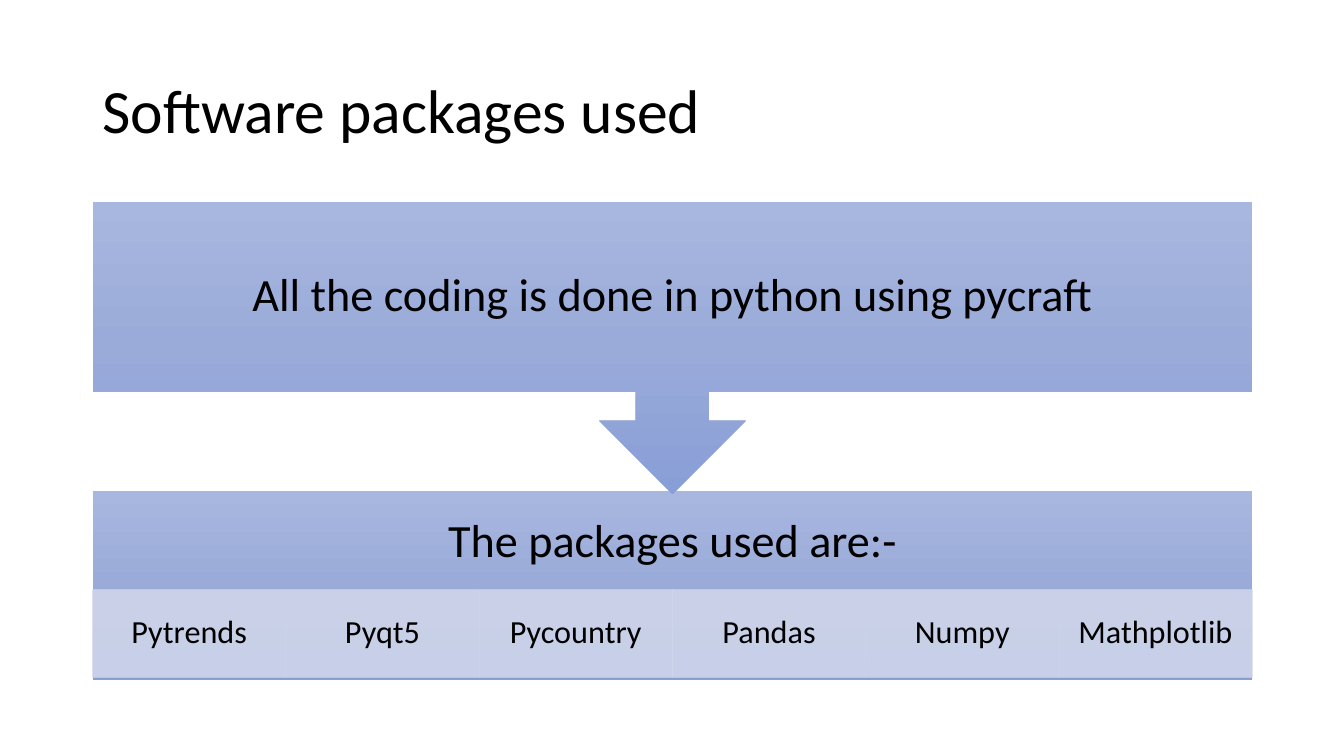
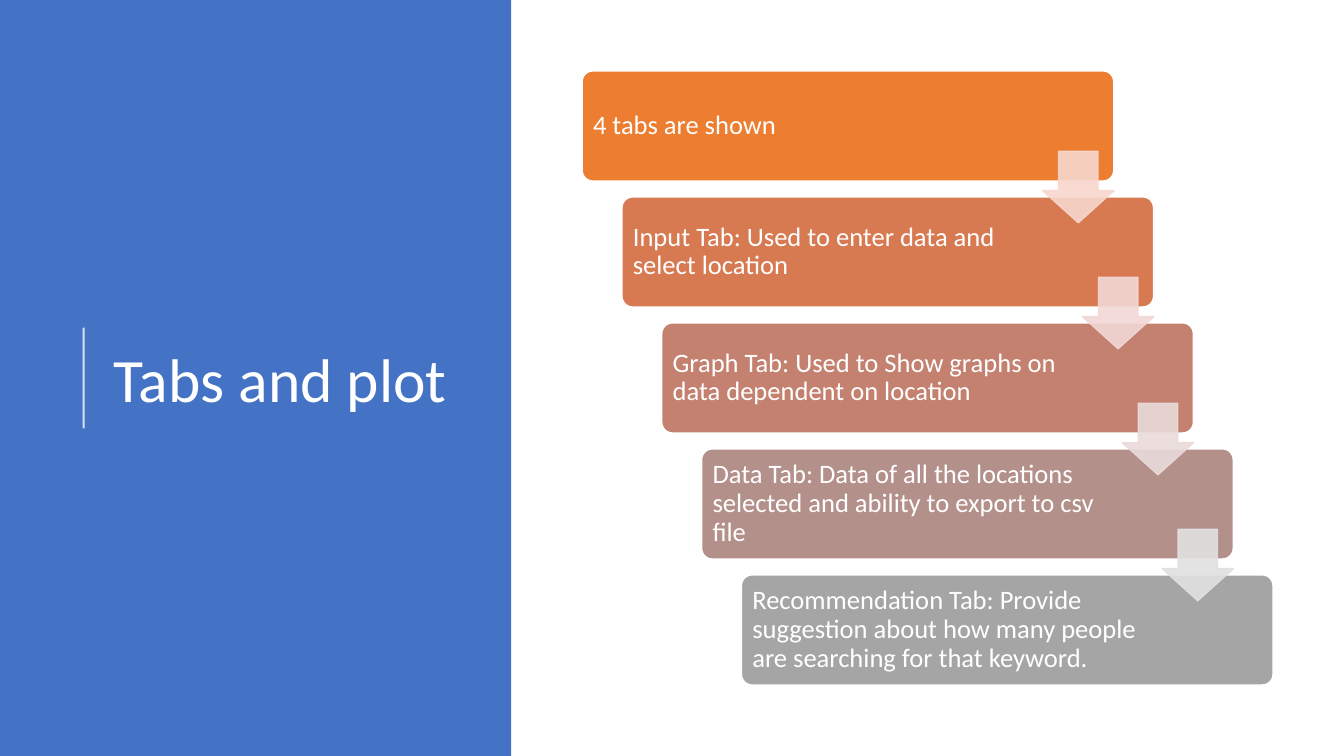
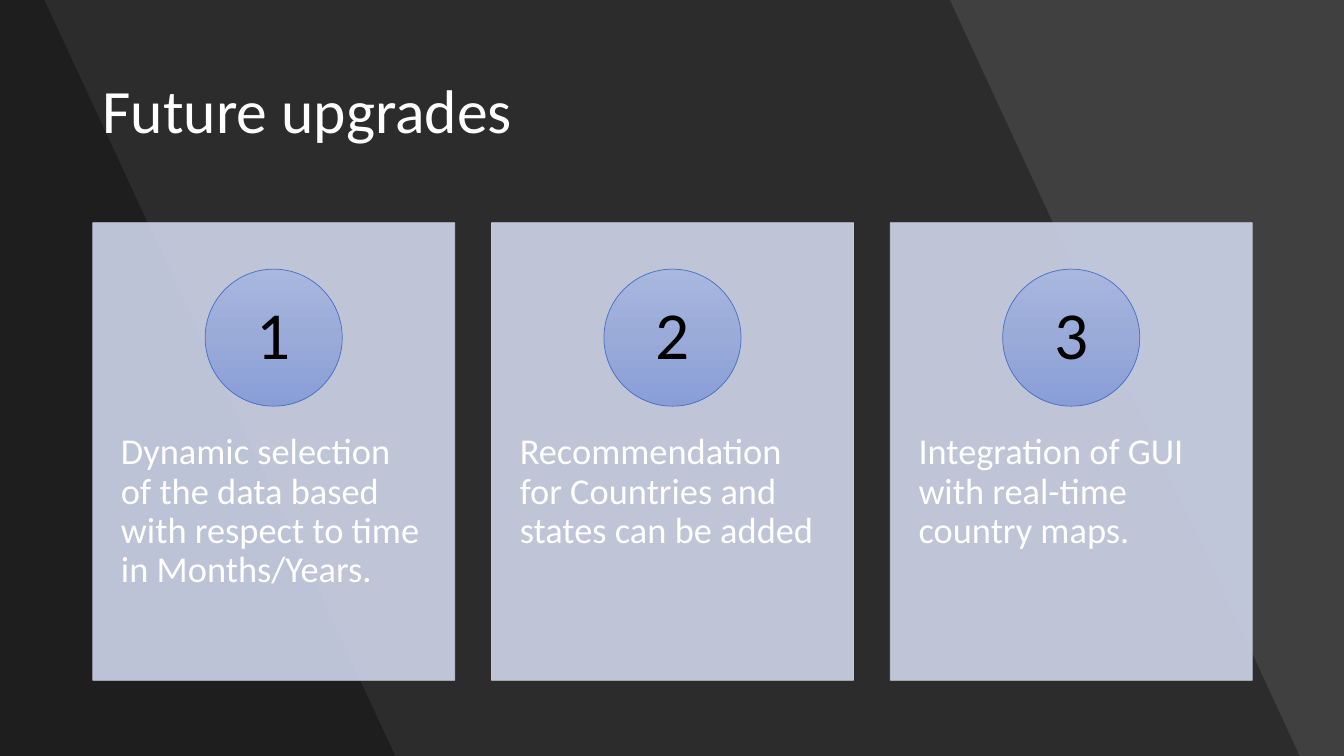
from copy import deepcopy

from lxml import etree
from pptx import Presentation
from pptx.dml.color import RGBColor
from pptx.enum import shapes, text
from pptx.oxml.ns import qn
from pptx.util import Inches, Pt

FONT = "Calibri"
COLORS = {
    "white": "FFFFFF",
    "black": "000000",
    "blue": "4472C4",
    "pale": "CFD5EA",
    "dark": "404040",
    "gradient top": "A8B7DF",
    "gradient middle": "9AABD9",
    "gradient bottom": "889ED7",
    "step 1": "ED7D31",
    "step 2": "D87A51",
    "step 3": "C48170",
    "step 4": "B4908B",
    "step 5": "A5A5A5",
    "arrow 1": "F8D7CE",
    "arrow 2": "F1D8D4",
    "arrow 3": "E9DBDA",
    "arrow 4": "E1E1E1",
}
BLUE_GRADIENT = ["gradient top", "gradient middle", "gradient bottom"]
PALE_GLASS = {"fill": "pale", "line": "pale", "opacity": 90}

SLIDE_W, SLIDE_H = 13.33, 7.5
LEFT, WIDTH = 0.92, 11.5
TITLE_BOX = (LEFT, 0.4, WIDTH, 1.45)

PACKAGES = ["Pytrends", "Pyqt5", "Pycountry", "Pandas", "Numpy", "Mathplotlib"]
STEPS = [
    "4 tabs are shown",
    "Input Tab: Used to enter data and select location",
    "Graph Tab: Used to Show graphs on data dependent on location",
    "Data Tab: Data of all the locations selected and ability to export to csv file",
    "Recommendation Tab: Provide suggestion about how many people are searching for that keyword.",
]
UPGRADES = [
    "Dynamic selection of the data based with respect to time in Months/Years.",
    "Recommendation for Countries and states can be added",
    "Integration of GUI with real-time country maps.",
]


def rgb(name):
    return RGBColor.from_string(COLORS[name])


def set_opacity(properties, percent):
    """Make every colour set in the shape properties partly transparent."""
    for color in properties.iter(qn("a:srgbClr")):
        etree.SubElement(color, qn("a:alpha")).set("val", str(percent * 1000))


def fill_gradient(shape, colors):
    """Fill from top to bottom with evenly spaced colours."""
    shape.fill.gradient()
    shape.fill.gradient_angle = 270
    stop_list = shape._element.spPr.find(qn("a:gradFill")).find(qn("a:gsLst"))
    for _ in colors[2:]:  # a new gradient already has two stops
        stop_list.append(deepcopy(stop_list[0]))
    for i, (stop, color) in enumerate(zip(shape.fill.gradient_stops, colors)):
        stop.position = i / (len(colors) - 1)
        stop.color.rgb = rgb(color)


def paint(shape, fill, line=None, line_width=0.5, opacity=100):
    """Fill with one colour name, or with a list of them as a gradient."""
    shape.shadow.inherit = False
    if isinstance(fill, list):
        fill_gradient(shape, fill)
    else:
        shape.fill.solid()
        shape.fill.fore_color.rgb = rgb(fill)
    if line:
        shape.line.color.rgb = rgb(line)
        shape.line.width = Pt(line_width)
    else:
        shape.line.fill.background()
    if opacity < 100:
        set_opacity(shape._element.spPr, opacity)


def write(shape, content, size, color="black", align="LEFT", anchor="MIDDLE",
          insets=(0.1, 0.05, 0.1, 0.05)):
    """Insets run left, top, right, bottom."""
    frame = shape.text_frame
    frame.word_wrap = True
    frame.vertical_anchor = text.MSO_ANCHOR[anchor]
    (frame.margin_left, frame.margin_top,
     frame.margin_right, frame.margin_bottom) = map(Inches, insets)
    paragraph = frame.paragraphs[0]
    paragraph.alignment = text.PP_ALIGN[align]
    paragraph.line_spacing = 0.9
    run = paragraph.add_run()
    run.text = content
    run.font.name = FONT
    run.font.size = Pt(size)
    run.font.color.rgb = rgb(color)


def add_slide(deck, background="white"):
    slide = deck.slides.add_slide(deck.slide_layouts[6])
    slide.background.fill.solid()
    slide.background.fill.fore_color.rgb = rgb(background)
    return slide


def add_title(slide, content, color, box=TITLE_BOX):
    write(slide.shapes.add_textbox(*map(Inches, box)), content, 44, color)


def add_block(slide, preset, box, adjustments=(), **style):
    block = slide.shapes.add_shape(shapes.MSO_SHAPE[preset], *map(Inches, box))
    for i, value in enumerate(adjustments):
        block.adjustments[i] = value
    paint(block, **style)
    return block


def add_title_rule(slide, x, top, bottom):
    rule = slide.shapes.add_connector(
        shapes.MSO_CONNECTOR.STRAIGHT, *map(Inches, (x, bottom, x, top)))
    rule.line.color.rgb = rgb("white")
    rule.line.width = Pt(1.5)
    properties = rule._element.spPr
    set_opacity(properties, 80)
    etree.SubElement(properties, qn("a:effectLst"))


def add_slanted_band(slide, top_right, bottom_right):
    """Darken the slide from its left edge to a slanted one."""
    outline = slide.shapes.build_freeform(0, 0)
    corners = [(top_right, 0), (bottom_right, SLIDE_H), (0, SLIDE_H)]
    outline.add_line_segments([(Inches(x), Inches(y)) for x, y in corners], close=True)
    paint(outline.convert_to_shape(), "black", opacity=30)


def add_package_row(slide, top, height):
    cell_width = WIDTH / len(PACKAGES)
    for i, package in enumerate(PACKAGES):
        cell = add_block(slide, "RECTANGLE", (LEFT + i * cell_width, top, cell_width, height),
                         **PALE_GLASS)
        write(cell, package, 23, align="CENTER", insets=(0.17, 0.03, 0.17, 0.03))


def add_staircase(slide):
    """Draw the steps, then an arrow from each step down to the next."""
    first_x, first_y = 5.77, 0.7
    shift_x, shift_y = 0.395, 1.25
    step_width, step_height = 5.28, 1.1
    arrow_size, arrow_drop = 0.71, 0.8
    corners = [(first_x + i * shift_x, first_y + i * shift_y) for i in range(len(STEPS))]

    for number, ((x, y), content) in enumerate(zip(corners, STEPS), start=1):
        step = add_block(slide, "ROUNDED_RECTANGLE", (x, y, step_width, step_height), [0.1],
                         fill=f"step {number}", line="white", line_width=1.5)
        write(step, content, 19, "white", insets=(0.08, 0.08, 1.19, 0.08))

    for number, (x, y) in enumerate(corners[:-1], start=1):
        color = f"arrow {number}"
        arrow_x = x + step_width - arrow_size
        add_block(slide, "DOWN_ARROW", (arrow_x, y + arrow_drop, arrow_size, arrow_size),
                  [0.55, 0.45], fill=color, line=color, line_width=1, opacity=90)


def add_upgrade_card(slide, x, width, number, content):
    top, height = 2.21, 4.54
    badge_size, badge_drop = 1.36, 0.46
    card = add_block(slide, "RECTANGLE", (x, top, width, height), **PALE_GLASS)
    write(card, content, 26, "white", anchor="TOP", insets=(0.28, 2.09, 0.28, 0.36))
    badge_x = x + (width - badge_size) / 2
    badge = add_block(slide, "OVAL", (badge_x, top + badge_drop, badge_size, badge_size),
                      fill=BLUE_GRADIENT, line="blue")
    write(badge, str(number), 48, align="CENTER", insets=(0.11, 0.01, 0.11, 0.01))


def build_packages(deck):
    slide = add_slide(deck)
    add_title(slide, "Software packages used", "black")
    panel = add_block(slide, "RECTANGLE", (LEFT, 4.87, WIDTH, 1.88), fill=BLUE_GRADIENT)
    write(panel, "The packages used are:-", 33, align="CENTER", insets=(0.26, 0.26, 0.26, 1.12))
    add_package_row(slide, 5.85, 0.87)
    callout = add_block(slide, "DOWN_ARROW_CALLOUT", (LEFT, 2, WIDTH, 2.9), fill=BLUE_GRADIENT)
    write(callout, "All the coding is done in python using pycraft", 33,
          align="CENTER", insets=(0.26, 0.26, 0.26, 0.26))


def build_tabs(deck):
    slide = add_slide(deck)
    add_block(slide, "RECTANGLE", (0, 0, 5.07, SLIDE_H), fill="blue")
    add_title(slide, "Tabs and plot", "white", box=(1.03, 0.78, 3.69, 6.02))
    add_title_rule(slide, 0.83, 3.25, 4.25)
    add_staircase(slide)


def build_upgrades(deck):
    slide = add_slide(deck, "dark")
    add_slanted_band(slide, 9.42, 12.89)
    add_slanted_band(slide, 0.44, 3.92)
    add_title(slide, "Future upgrades", "white")
    card_width = 3.59
    card_pitch = (WIDTH - card_width) / (len(UPGRADES) - 1)
    for i, upgrade in enumerate(UPGRADES):
        add_upgrade_card(slide, LEFT + i * card_pitch, card_width, i + 1, upgrade)


def main():
    deck = Presentation()
    deck.slide_width, deck.slide_height = Inches(SLIDE_W), Inches(SLIDE_H)
    build_packages(deck)
    build_tabs(deck)
    build_upgrades(deck)
    deck.save("out.pptx")


if __name__ == "__main__":
    main()
